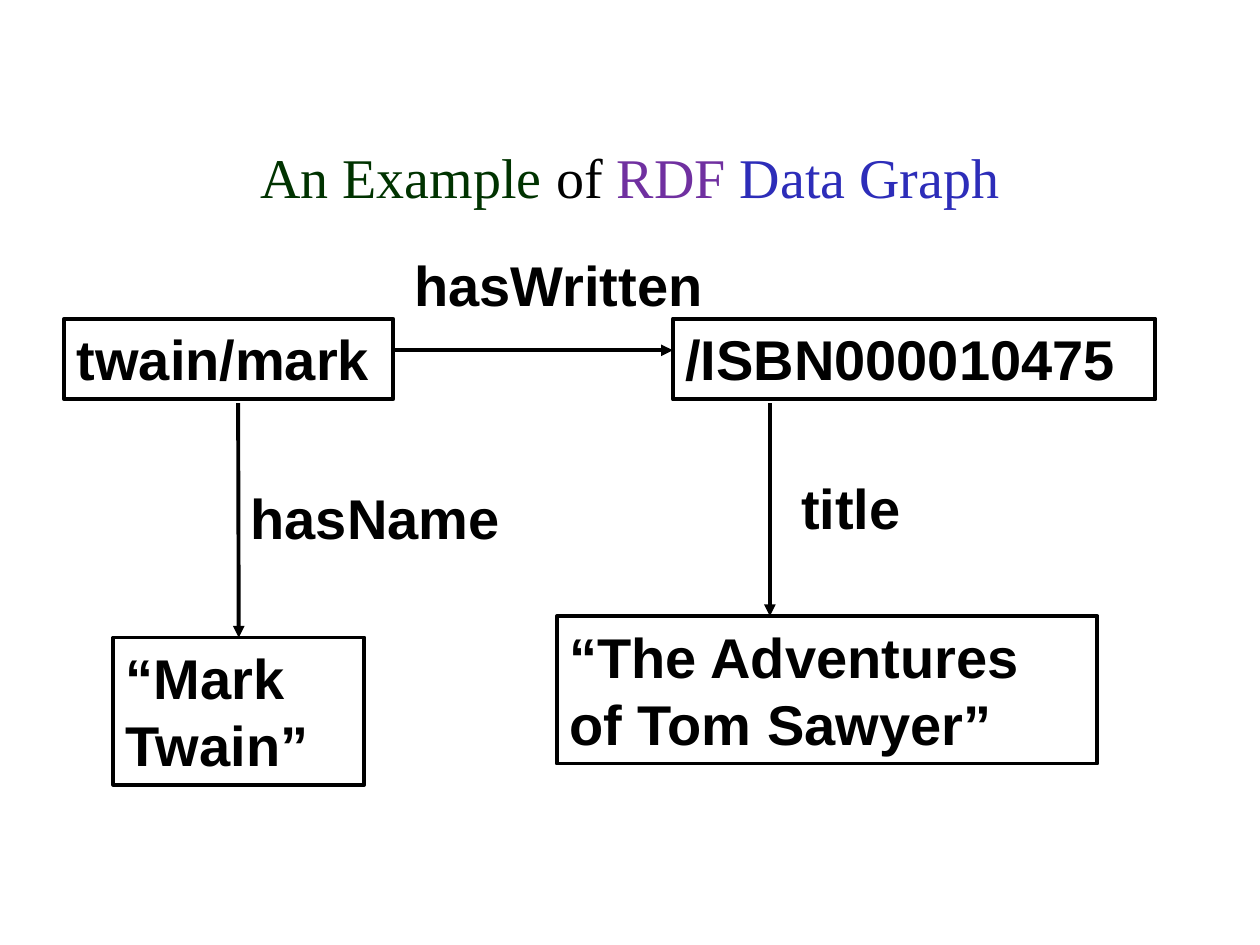
from lxml.etree import SubElement
from pptx import Presentation
from pptx.dml.color import RGBColor
from pptx.enum.shapes import MSO_CONNECTOR, MSO_SHAPE
from pptx.enum.text import MSO_ANCHOR, MSO_AUTO_SIZE, PP_ALIGN
from pptx.oxml.ns import qn
from pptx.util import Inches, Pt

BLACK = "000000"
TITLE_FONT = {"name": "Times New Roman", "size": Pt(32), "bold": False}
GRAPH_FONT = {"name": "Arial", "size": Pt(32), "bold": True}

TITLE_BOX = (0.75, 0.77, 8.5, 1.25)
GRAPH_BOX = (0.51, 1.94, 8.66, 4.29)

TITLE_RUNS = [
    ("An Example ", "003300"),
    ("of ", BLACK),
    ("RDF ", "7030A0"),
    ("Data Graph", "2D2DB9"),
]

# Positions are relative to the graph's box: left, top, width, height
NODES = {
    "author": ("twain/mark", 0, 0.59, 2.61, 0.64),
    "book": ("/ISBN000010475", 4.83, 0.59, 3.83, 0.64),
    "author name": ("“Mark Twain”", 0.39, 3.12, 1.99, 1.17),
    "book title": ("“The Adventures of Tom Sawyer”", 3.91, 2.95, 4.29, 1.17),
}
LABELS = [
    ("hasWritten", 2.68, 0, 2.5, 0.64),
    ("hasName", 1.38, 1.85, 2.18, 0.64),
    ("title", 5.75, 1.77, 0.99, 0.64),
]
# Start x, start y, end x, end y, node joined at its top middle
ARROWS = [
    (2.61, 0.84, 4.83, 0.84, None),
    (1.38, 1.26, 1.38, 3.12, "author name"),
    (5.6, 1.26, 5.6, 2.95, None),
]


def color(hex_string):
    return RGBColor.from_string(hex_string)


def add_run(paragraph, text, font_format, hex_string):
    run = paragraph.add_run()
    run.text = text
    for attribute, value in font_format.items():
        setattr(run.font, attribute, value)
    run.font.color.rgb = color(hex_string)


def style_line(line):
    line.color.rgb = color(BLACK)
    line.width = Pt(2.25)


def write_graph_text(shape, text, wrap):
    frame_format = {
        "word_wrap": wrap,
        "auto_size": MSO_AUTO_SIZE.SHAPE_TO_FIT_TEXT,
        "vertical_anchor": MSO_ANCHOR.TOP,
    }
    for attribute, value in frame_format.items():
        setattr(shape.text_frame, attribute, value)
    paragraph = shape.text_frame.paragraphs[0]
    paragraph.alignment = PP_ALIGN.LEFT
    add_run(paragraph, text, GRAPH_FONT, BLACK)


def add_node(slide, text, *box):
    shape = slide.shapes.add_shape(MSO_SHAPE.RECTANGLE, *map(Inches, box))
    shape.shadow.inherit = False
    shape.fill.background()
    style_line(shape.line)
    write_graph_text(shape, text, wrap=True)
    return shape


def add_label(slide, text, *box):
    shape = slide.shapes.add_textbox(*map(Inches, box))
    write_graph_text(shape, text, wrap=False)


def add_arrow(slide, *ends, target=None):
    arrow = slide.shapes.add_connector(MSO_CONNECTOR.STRAIGHT, *map(Inches, ends))
    style_line(arrow.line)
    SubElement(arrow.line._get_or_add_ln(), qn("a:tailEnd"), type="triangle")
    SubElement(arrow._element.spPr, qn("a:effectLst"))
    if target is not None:
        arrow.end_connect(target, 0)


def build_title(slide, box):
    title = slide.shapes.title
    title.left, title.top, title.width, title.height = map(Inches, box)
    title.text_frame.vertical_anchor = MSO_ANCHOR.MIDDLE
    paragraph = title.text_frame.paragraphs[0]
    paragraph.alignment = PP_ALIGN.CENTER
    for text, hex_string in TITLE_RUNS:
        add_run(paragraph, text, TITLE_FONT, hex_string)


def build_graph(slide, box):
    left, top = box[:2]

    # Resources and values
    nodes = {}
    for name, (text, x, y, width, height) in NODES.items():
        nodes[name] = add_node(slide, text, left + x, top + y, width, height)

    # Properties
    for x1, y1, x2, y2, target in ARROWS:
        add_arrow(slide, left + x1, top + y1, left + x2, top + y2,
                  target=nodes.get(target))
    for text, x, y, width, height in LABELS:
        add_label(slide, text, left + x, top + y, width, height)


def main():
    presentation = Presentation()
    presentation.slide_width = Inches(10)
    presentation.slide_height = Inches(7.5)
    slide = presentation.slides.add_slide(presentation.slide_layouts[5])
    build_title(slide, TITLE_BOX)
    build_graph(slide, GRAPH_BOX)
    presentation.save("out.pptx")


if __name__ == "__main__":
    main()
